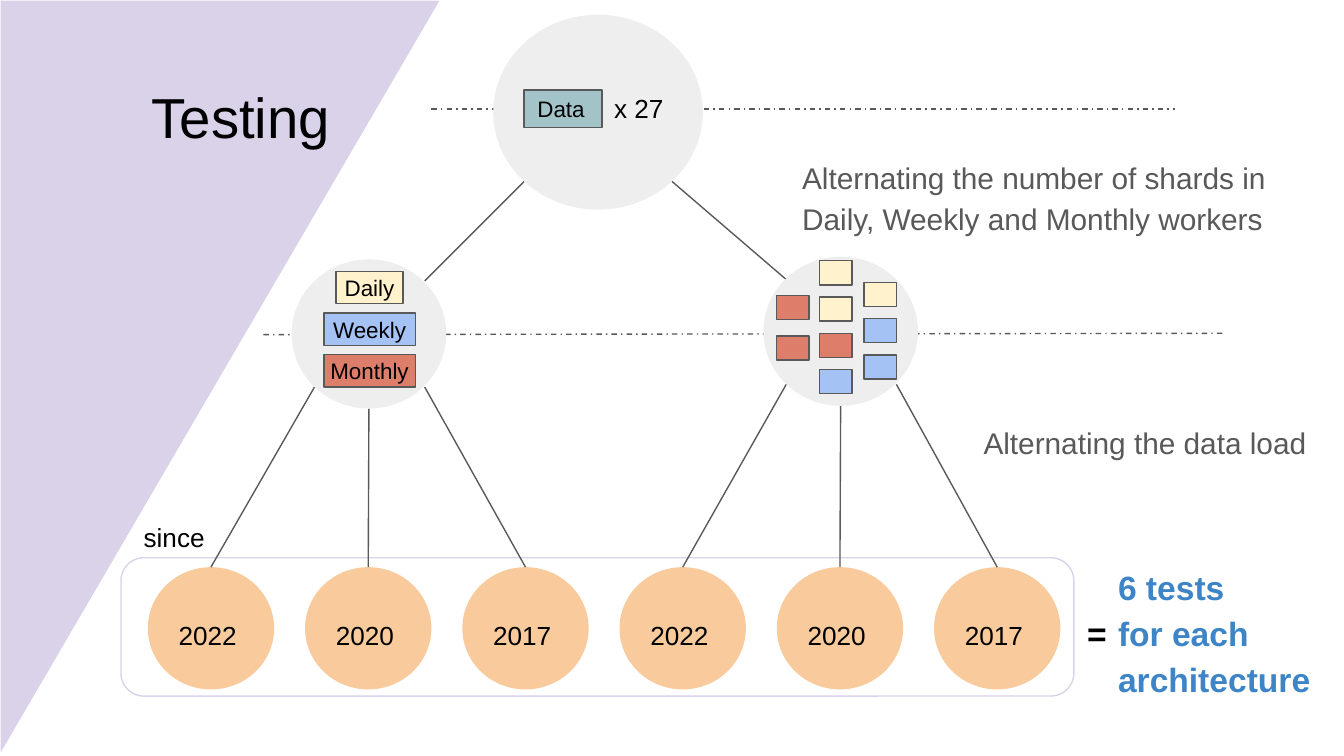
from dataclasses import dataclass

from lxml import etree
from pptx import Presentation
from pptx.dml.color import RGBColor
from pptx.enum.dml import MSO_LINE
from pptx.enum.shapes import MSO_CONNECTOR, MSO_SHAPE
from pptx.enum.text import MSO_ANCHOR, PP_ALIGN
from pptx.oxml.ns import qn
from pptx.util import Inches, Pt

RECT, ROUNDED = MSO_SHAPE.RECTANGLE, MSO_SHAPE.ROUNDED_RECTANGLE
TRIANGLE, CIRCLE = MSO_SHAPE.RIGHT_TRIANGLE, MSO_SHAPE.FLOWCHART_CONNECTOR
STRAIGHT, DASH_DOT = MSO_CONNECTOR.STRAIGHT, MSO_LINE.DASH_DOT
LEFT, CENTER = PP_ALIGN.LEFT, PP_ALIGN.CENTER
TOP, MIDDLE = MSO_ANCHOR.TOP, MSO_ANCHOR.MIDDLE


@dataclass(frozen=True)
class Theme:
    font: str = "Arial"
    black: str = "000000"
    white: str = "FFFFFF"
    grey: str = "595959"
    node: str = "EEEEEE"
    lilac: str = "D9D2E9"
    year: str = "F9CB9C"
    data: str = "A2C4C9"
    daily: str = "FFF2CC"
    weekly: str = "A4C2F4"
    monthly: str = "DD7E6B"
    accent: str = "3D85C6"
    title: float = 30.2
    result: float = 18
    note: float = 16
    body: float = 14
    label: float = 12
    line: float = 0.75


T = Theme()
NODE_W, NODE_H = 1.15, 1.11
YEAR_W, YEAR_H, YEAR_STEP = 0.94, 0.91, 1.17
YEARS_Y = 4.22


def rgb(color):
    return RGBColor.from_string(color)


def add_shape(s, kind, x, y, w, h, fill=None, line=None):
    sp = s.shapes.add_shape(kind, Inches(x), Inches(y), Inches(w), Inches(h))
    sp.shadow.inherit = False
    if fill:
        sp.fill.solid()
        sp.fill.fore_color.rgb = rgb(fill)
    else:
        sp.fill.background()
    if line:
        sp.line.color.rgb = rgb(line)
        sp.line.width = Pt(T.line)
    else:
        sp.line.fill.background()
    return sp


def add_line(s, x1, y1, x2, y2, dash=None):
    cn = s.shapes.add_connector(STRAIGHT, Inches(x1), Inches(y1), Inches(x2), Inches(y2))
    cn.line.color.rgb = rgb(T.grey)
    cn.line.width = Pt(T.line)
    if dash:
        cn.line.dash_style = dash
    etree.SubElement(cn._element.spPr, qn("a:effectLst"))


def write(sp, lines, size, color=T.black, bold=False, align=LEFT, anchor=TOP,
          side=0.1, spacing=None):
    """Fill a shape with one paragraph, its lines parted by line breaks."""
    tf = sp.text_frame
    tf.word_wrap = True
    tf.vertical_anchor = anchor
    tf.margin_left = tf.margin_right = Inches(side)
    tf.margin_top = tf.margin_bottom = Inches(0.1)
    p = tf.paragraphs[0]
    p.alignment = align
    if spacing:
        p.line_spacing = spacing
    for i, line in enumerate(lines):
        if i:
            p.add_line_break()
        r = p.add_run()
        r.text = line
        r.font.name, r.font.size, r.font.bold = T.font, Pt(size), bold
        r.font.color.rgb = rgb(color)


def add_text(s, x, y, w, h, lines, size, **style):
    box = s.shapes.add_textbox(Inches(x), Inches(y), Inches(w), Inches(h))
    write(box, lines, size, **style)


def add_title(s, x, y, w, h):
    corner = add_shape(s, TRIANGLE, x, y, w, h, T.lilac, T.white)
    corner._element.spPr.find(qn("a:xfrm")).set("flipV", "1")
    add_text(s, x + 1.03, y + 0.51, 1.6, 0.63, ["Testing"], T.title)


def add_root(s, x, y):
    add_shape(s, CIRCLE, x, y, 1.56, 1.45, T.node)
    data = add_shape(s, RECT, x + 0.23, y + 0.56, 0.58, 0.28, T.data, T.grey)
    write(data, ["Data"], T.label, anchor=MIDDLE)
    add_text(s, x + 0.8, y + 0.48, 0.58, 0.44, ["x 27"], T.body)


def add_branch(s, x, y, years_x):
    """Worker node with three edges down to its row of years."""
    starts = [(0.17, 0.95), (NODE_W / 2, NODE_H), (0.99, 0.95)]
    for i, (year, (dx, dy)) in enumerate(zip(("2022", "2020", "2017"), starts)):
        left = years_x + i * YEAR_STEP
        add_shape(s, CIRCLE, left, YEARS_Y, YEAR_W, YEAR_H, T.year)
        add_text(s, left + 0.13, YEARS_Y + 0.29, 0.68, 0.28, [year], T.body)
        add_line(s, x + dx, y + dy, left + YEAR_W / 2, YEARS_Y)
    add_shape(s, CIRCLE, x, y, NODE_W, NODE_H, T.node)


def add_worker_labels(s, x, y):
    workers = [("Daily", 0.5, T.daily), ("Weekly", 0.68, T.weekly),
               ("Monthly", 0.68, T.monthly)]
    for i, (name, w, color) in enumerate(workers):
        sp = add_shape(s, RECT, x + 0.58 - w / 2, y + 0.09 + i * 0.31, w, 0.24,
                       color, T.grey)
        write(sp, [name], T.label, align=CENTER, anchor=MIDDLE, side=0.04)


def add_shards(s, x, y):
    columns = [
        (0.10, 0.29, 0.30, (T.monthly, T.monthly)),
        (0.42, 0.03, 0.27, (T.daily, T.daily, T.monthly, T.weekly)),
        (0.75, 0.19, 0.27, (T.daily, T.weekly, T.weekly)),
    ]
    for dx, top, step, colors in columns:
        for i, color in enumerate(colors):
            add_shape(s, RECT, x + dx, y + top + i * step, 0.24, 0.18, color, T.grey)


def add_notes(s):
    add_text(s, 5.87, 1.05, 3.72, 0.78,
             ["Alternating the number of shards in Daily, Weekly and Monthly workers"],
             T.note, color=T.grey, spacing=1.15)
    add_text(s, 7.22, 3.02, 2.63, 0.47, ["Alternating the data load"],
             T.note, color=T.grey, spacing=1.15)


def add_result(s, x, y):
    add_text(s, x, y + 0.39, 0.33, 0.41, ["="], T.result, bold=True)
    add_text(s, x + 0.23, y, 1.78, 1.2, ["6 tests", "for each architecture"],
             T.result, color=T.accent, bold=True, spacing=1.15)


def main():
    prs = Presentation()
    prs.slide_width = Inches(10)
    prs.slide_height = prs.slide_width * 9 // 16
    s = prs.slides.add_slide(prs.slide_layouts[6])

    add_shape(s, ROUNDED, 0.9, 4.15, 7.09, 1.03, line=T.lilac)
    add_title(s, 0, 0, 3.28, 5.62)
    add_line(s, 3.21, 0.81, 8.74, 0.81, DASH_DOT)
    add_line(s, 1.96, 2.49, 9.12, 2.48, DASH_DOT)
    add_line(s, 3.16, 2.09, 3.9, 1.35)
    add_line(s, 5, 1.35, 5.85, 2.08)
    add_root(s, 3.67, 0.11)
    add_branch(s, 2.17, 1.93, 1.1)
    add_worker_labels(s, 2.17, 1.93)
    add_branch(s, 5.68, 1.91, 1.1 + 3 * YEAR_STEP)
    add_shards(s, 5.68, 1.91)
    add_text(s, 0.97, 3.78, 0.68, 0.44, ["since"], T.body)
    add_notes(s)
    add_result(s, 7.99, 4.07)
    prs.save("out.pptx")


if __name__ == "__main__":
    main()
